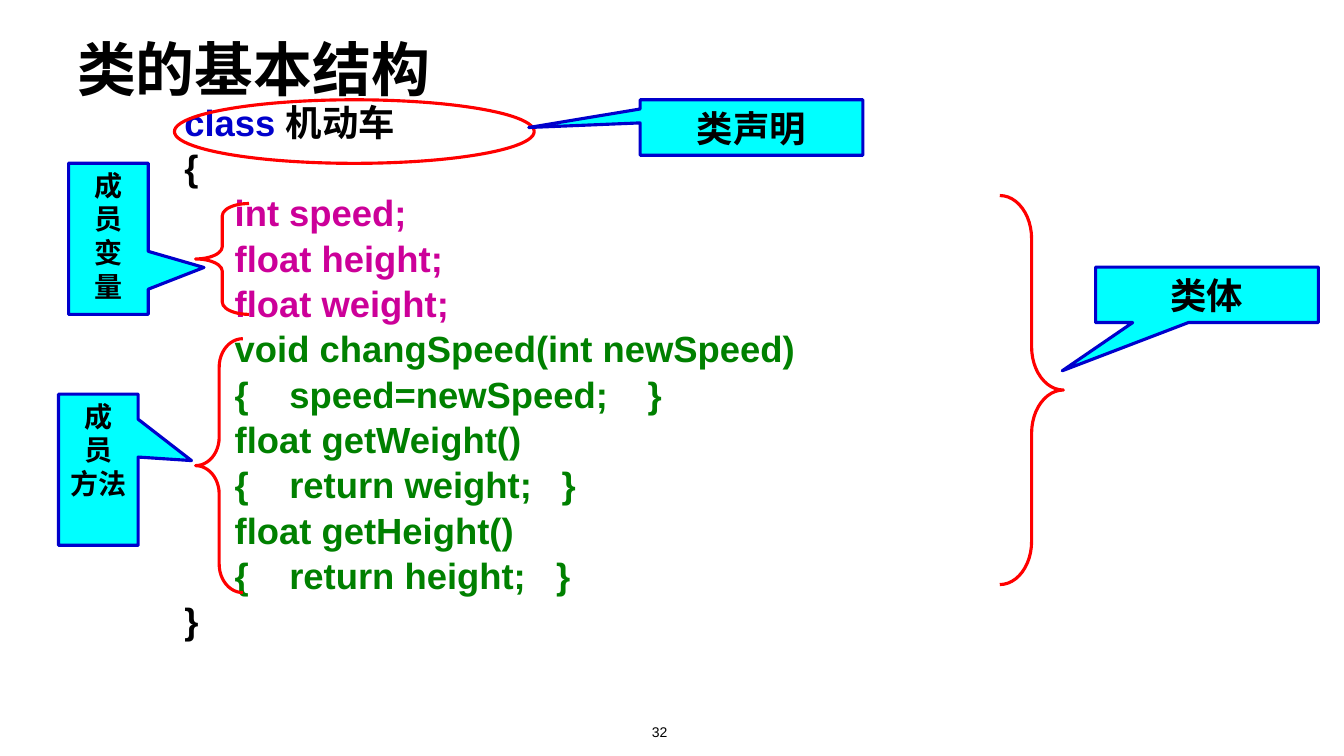
from pptx import Presentation
from pptx.dml.color import RGBColor
from pptx.enum import shapes, text
from pptx.oxml import xmlchemy
from pptx.util import Pt

BLACK = RGBColor(0x00, 0x00, 0x00)
BLUE = RGBColor(0x00, 0x00, 0xCC)
MAGENTA = RGBColor(0xCC, 0x00, 0x99)
GREEN = RGBColor(0x00, 0x80, 0x00)
RED = RGBColor(0xFF, 0x00, 0x00)
CYAN = RGBColor(0x00, 0xFF, 0xFF)
FONT = "Arial"
OUTLINE = 2.25

# Content: boxes are (left, top, width, height) in points
TITLE = ("类的基本结构", (48, 9.4, 792, 67.7))
PAGE_NUMBER = ("32", (359.3, 513.4, 223.9, 36))
CODE_BOX = (124.6, 71.3, 835.2, 453.6)
MEMBER_STOP, BODY_STOP = 36, 75
# Code lines: runs of (text, colour), then the tab stop of a closing brace
CODE = [
    ([("class ", BLUE), ("机动车", BLACK)], None),
    ([("{", BLACK)], None),
    ([("\tint speed;", MAGENTA)], None),
    ([("\tfloat height;", MAGENTA)], None),
    ([("\tfloat weight;", MAGENTA)], None),
    ([("\tvoid changSpeed(int newSpeed)", GREEN)], None),
    ([("\t{\tspeed=newSpeed;\t}", GREEN)], 331),
    ([("\tfloat getWeight()", GREEN)], None),
    ([("\t{\treturn weight;\t}", GREEN)], 269.5),
    ([("\tfloat getHeight()", GREEN)], None),
    ([("\t{\treturn height;\t}", GREEN)], 265.5),
    ([("}", BLACK)], None),
]
SHAPE = shapes.MSO_SHAPE
MARKERS = [
    (SHAPE.OVAL, (124.6, 71.3, 257, 45.4), ()),
    (SHAPE.RIGHT_BRACE, (714.2, 139.7, 45.4, 277.9), (0.68, 0.5)),
    (SHAPE.LEFT_BRACE, (139.7, 145.4, 38.2, 79.2), (0.23, 0.5)),
    (SHAPE.LEFT_BRACE, (139.7, 241.9, 33.8, 181.4), (0.6, 0.5)),
]
WIDE, TALL = (159.1, 39.6), (56.9, 108)
# Callouts: lines, text size, position, size, pointer tip, anchor
CALLOUTS = [
    (["类声明"], 26, (457.2, 71.3), WIDE, (-1, 0), text.MSO_ANCHOR.MIDDLE),
    (["类体"], 26, (782.6, 190.8), WIDE, (-0.65, 1.37), text.MSO_ANCHOR.MIDDLE),
    (["成", "员", "变", "量"], 20, (49, 116.6), TALL, (1.2, 0.19), text.MSO_ANCHOR.TOP),
    (["成", "员", "方法"], 20, (41.8, 281.5), TALL, (1.17, -0.06), text.MSO_ANCHOR.TOP),
]


def points(values):
    return [Pt(value) for value in values]


def style(paragraph, size, bold=True, align=text.PP_ALIGN.LEFT):
    paragraph.alignment = align
    paragraph.font.name = FONT
    paragraph.font.size = Pt(size)
    paragraph.font.bold = bold
    paragraph.font.color.rgb = BLACK


def add_box(box):
    frame = slide.shapes.add_textbox(*points(box)).text_frame
    frame.word_wrap = True
    return frame


def add_outlined(kind, box, adjustments, colour):
    shape = slide.shapes.add_shape(kind, *points(box))
    shape.shadow.inherit = False
    shape.fill.background()
    shape.line.color.rgb = colour
    shape.line.width = Pt(OUTLINE)
    for index, value in enumerate(adjustments):
        shape.adjustments[index] = value
    return shape


def set_tabs(paragraph, stops):
    properties = paragraph._p.get_or_add_pPr()
    tab_list = xmlchemy.OxmlElement("a:tabLst")
    for stop in stops:
        tab = xmlchemy.OxmlElement("a:tab")
        tab.set("pos", str(Pt(stop)))
        tab.set("algn", "l")
        tab_list.append(tab)
    properties.insert_element_before(tab_list, "a:defRPr", "a:extLst")


presentation = Presentation()
presentation.slide_width, presentation.slide_height = Pt(960), Pt(540)
slide = presentation.slides.add_slide(presentation.slide_layouts[6])

# Page number and title
for (words, box), size, bold, align, anchor in (
    (PAGE_NUMBER, 10, False, text.PP_ALIGN.CENTER, text.MSO_ANCHOR.TOP),
    (TITLE, 42, True, text.PP_ALIGN.LEFT, text.MSO_ANCHOR.BOTTOM),
):
    frame = add_box(box)
    frame.vertical_anchor = anchor
    frame.text = words
    style(frame.paragraphs[0], size, bold, align)

# Class code
frame = add_box(CODE_BOX)
for index, (runs, closing_stop) in enumerate(CODE):
    paragraph = frame.paragraphs[0] if index == 0 else frame.add_paragraph()
    style(paragraph, 26)
    paragraph.line_spacing = 0.9
    paragraph.space_before = Pt(4.3)
    for words, colour in runs:
        run = paragraph.add_run()
        run.text = words
        run.font.color.rgb = colour
    stops = [MEMBER_STOP, BODY_STOP]
    set_tabs(paragraph, stops + [closing_stop] if closing_stop else stops)

# Ellipse and braces
for kind, box, adjustments in MARKERS:
    add_outlined(kind, box, adjustments, RED)

# Callouts
for lines, size, position, extent, tip, anchor in CALLOUTS:
    callout = add_outlined(SHAPE.RECTANGULAR_CALLOUT, position + extent, tip, BLUE)
    callout.fill.solid()
    callout.fill.fore_color.rgb = CYAN
    frame = callout.text_frame
    frame.word_wrap = True
    frame.vertical_anchor = anchor
    frame.text = "\n".join(lines)
    for paragraph in frame.paragraphs:
        style(paragraph, size, align=text.PP_ALIGN.CENTER)

presentation.save("out.pptx")
